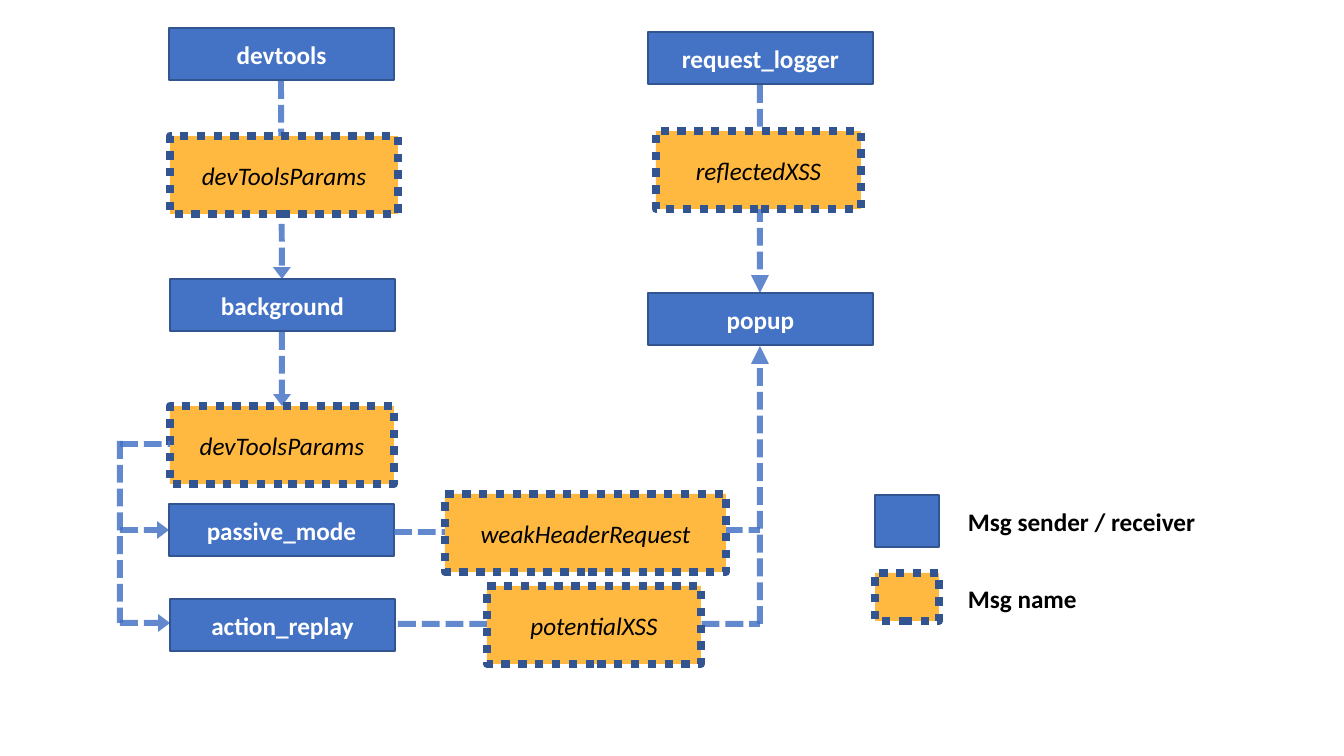
from dataclasses import dataclass

from lxml import etree
from pptx import Presentation
from pptx.dml.color import RGBColor
from pptx.enum.dml import MSO_LINE
from pptx.enum.shapes import MSO_CONNECTOR, MSO_SHAPE
from pptx.enum.text import MSO_ANCHOR, PP_ALIGN
from pptx.oxml.ns import qn
from pptx.slide import Slide
from pptx.util import Emu, Pt

RECT = MSO_SHAPE.RECTANGLE
STRAIGHT = MSO_CONNECTOR.STRAIGHT
DOTS, DASHES = MSO_LINE.ROUND_DOT, MSO_LINE.SQUARE_DOT
MIDDLE, CENTER = MSO_ANCHOR.MIDDLE, PP_ALIGN.CENTER
SCALE = 914400 / 100.8
FONT, SIZE = "Calibri", Pt(18)
HEX = {"blue": "4472C4", "navy": "325491", "amber": "FFB940",
       "white": "FFFFFF", "black": "000000"}


@dataclass
class Part:
    """A message sender or receiver."""
    text: str
    left: int
    top: int
    width: int = 225
    height: int = 52


@dataclass
class Note(Part):
    """A named message."""
    height: int = 78


@dataclass
class Link:
    """A dashed line, with an arrowhead at its end if a length is given."""
    x1: int
    y1: int
    x2: int
    y2: int
    head: str = ""


TRUNK, BRANCH = 760, 120
BACK = [
    Link(654, 624, TRUNK, 624),
    Link(701, 530, TRUNK, 530),
    Link(TRUNK, 85, TRUNK, 293, "med"),
    Link(281, 81, 282, 279, "sm"),
    Link(282, 332, 282, 406, "sm"),
    Link(BRANCH, 530, 169, 530, "sm"),
    Link(BRANCH, 623, 170, 623, "sm"),
    Link(BRANCH, 441, BRANCH, 623),
]
FRONT = [
    Link(BRANCH, 444, 170, 444),
    Link(394, 532, 445, 532),
    Link(398, 624, 487, 624),
    Link(TRUNK, 624, TRUNK, 346, "med"),
]
BOXES = [
    Part("devtools", 169, 28),
    Part("background", 170, 279),
    Part("action_replay", 170, 599),
    Part("passive_mode", 169, 504),
    Part("popup", 648, 293),
    Part("request_logger", 648, 32),
    Note("devToolsParams", 170, 136, 228),
    Note("devToolsParams", 170, 406, 224),
    Note("reflectedXSS", 656, 131, 205),
    Note("potentialXSS", 487, 586, 214),
    Note("weakHeaderRequest", 445, 494, 281),
    Part("", 875, 495, 64),
    Note("", 875, 573, 64, 48),
]
LABELS = {"Msg sender / receiver": 501, "Msg name": 578}


def px(num: int) -> Emu:
    """Turn pixels into EMU."""
    return Emu(round(num * SCALE))


def tint(name: str) -> RGBColor:
    """Look up a colour."""
    return RGBColor.from_string(HEX[name])


def write(frame, text: str, color: str, bold: bool, slant: bool) -> None:
    """Put one styled paragraph in a text frame."""
    para = frame.paragraphs[0]
    para.text = text
    font = para.font
    font.name, font.size = FONT, SIZE
    font.bold, font.italic = bold, slant
    font.color.rgb = tint(color)


def add_box(slide: Slide, box: Part) -> None:
    """Draw a part or a note."""
    note = isinstance(box, Note)
    shape = slide.shapes.add_shape(
        RECT, px(box.left), px(box.top), px(box.width), px(box.height))
    shape.shadow.inherit = False
    shape.fill.solid()
    shape.fill.fore_color.rgb = tint("amber" if note else "blue")
    shape.line.color.rgb = tint("navy")
    shape.line.width = Pt(6 if note else 1)
    if note:
        shape.line.dash_style = DOTS
    if box.text:
        frame = shape.text_frame
        frame.vertical_anchor = MIDDLE
        write(frame, box.text, "black" if note else "white", not note, note)
        frame.paragraphs[0].alignment = CENTER


def add_link(slide: Slide, link: Link) -> None:
    """Draw a dashed, slightly clear line."""
    wire = slide.shapes.add_connector(
        STRAIGHT, px(link.x1), px(link.y1), px(link.x2), px(link.y2))
    line = wire.line
    line.color.rgb = tint("blue")
    line.width = Pt(4.25)
    line.dash_style = DASHES
    props = wire._element.spPr
    shade = props.find(".//" + qn("a:srgbClr"))
    etree.SubElement(shade, qn("a:alpha"), val="84000")
    if link.head:
        etree.SubElement(props.find(qn("a:ln")), qn("a:tailEnd"),
                         type="triangle", w="med", len=link.head)
    etree.SubElement(props, qn("a:effectLst"))


def add_label(slide: Slide, text: str, top: int) -> None:
    """Write a legend entry."""
    area = slide.shapes.add_textbox(px(958), px(top), px(322), px(40))
    area.text_frame.word_wrap = True
    write(area.text_frame, text, "black", True, False)


def main() -> None:
    """Build and save the slide."""
    deck = Presentation()
    deck.slide_width, deck.slide_height = px(1344), px(756)
    slide = deck.slides.add_slide(deck.slide_layouts[6])
    for link in BACK:
        add_link(slide, link)
    for box in BOXES:
        add_box(slide, box)
    for link in FRONT:
        add_link(slide, link)
    for text, top in LABELS.items():
        add_label(slide, text, top)
    deck.save("out.pptx")


main()
